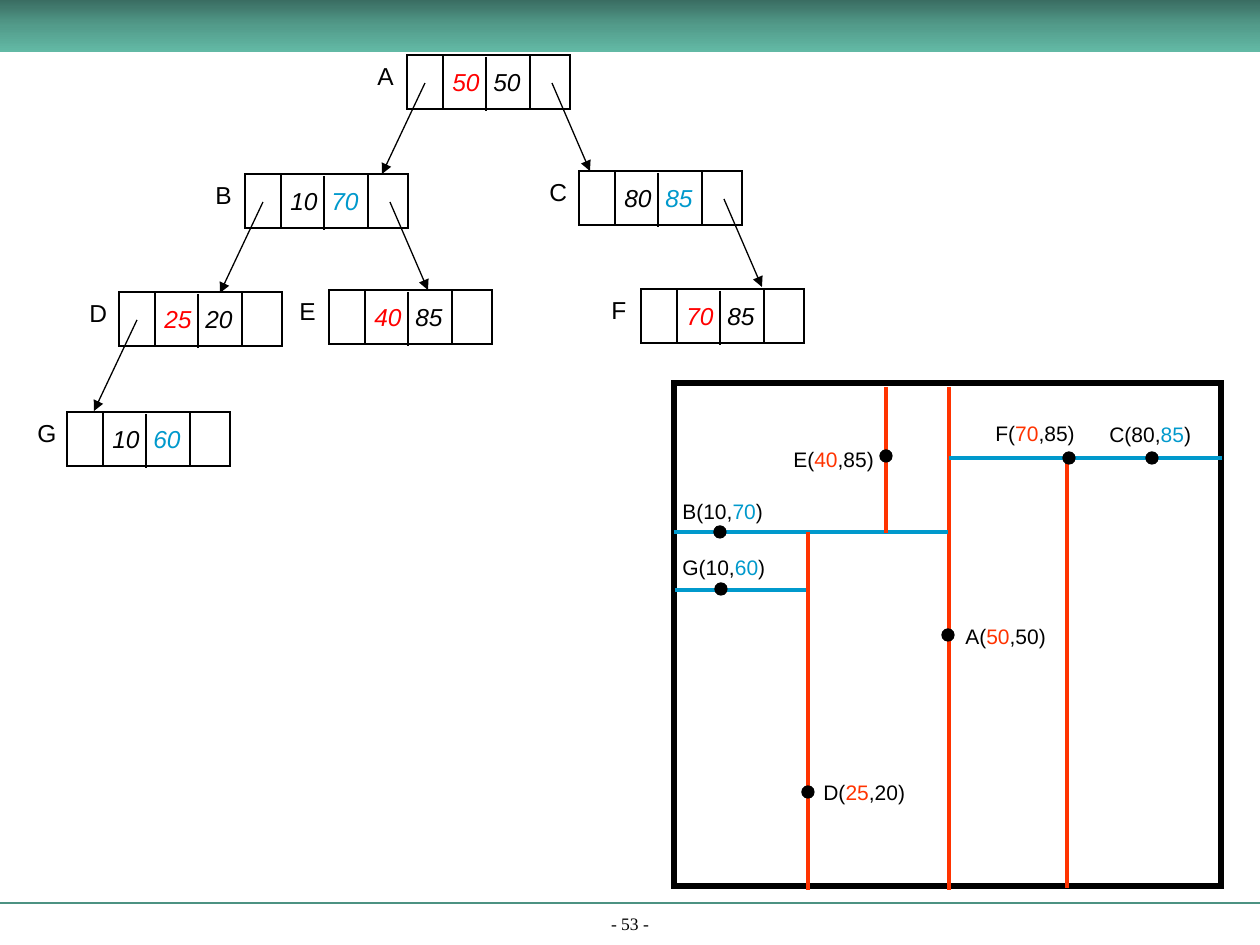
from copy import deepcopy
from lxml.etree import SubElement
from pptx import Presentation
from pptx.dml.color import RGBColor
from pptx.enum.shapes import MSO_CONNECTOR as Conn, MSO_SHAPE as Kind
from pptx.enum.text import MSO_ANCHOR as Anchor, PP_ALIGN as Align
from pptx.oxml.ns import qn
from pptx.util import Pt

SCALE = 914400 / 126
WIDE, HIGH = 1260, 945
BLACK = RGBColor(0, 0, 0)
RED = RGBColor(0xFF, 0, 0)
ORANGE = RGBColor(0xFF, 0x33, 0)
BLUE = RGBColor(0, 0x99, 0xCC)
TEAL = RGBColor(0x4C, 0x92, 0x82)
SHADES = RGBColor(0x3A, 0x6D, 0x62), RGBColor(0x53, 0x9C, 0x8B), RGBColor(0x62, 0xB9, 0xA5)

KEYS = {
    "A": (50, 50, 0), "B": (10, 70, 1), "C": (80, 85, 1), "D": (25, 20, 0),
    "E": (40, 85, 0), "F": (70, 85, 0), "G": (10, 60, 1),
}
NODES = {
    "A": (407, 55), "B": (245, 174), "C": (579, 171), "D": (119, 292),
    "E": (329, 290), "F": (641, 289), "G": (67, 412),
}
LEFT, RIGHT = "ABD", "ABC"
CUTS = {
    "A": (275, 4, 507), "B": (149, 0, 274), "C": (75, 275, 548), "D": (134, 149, 507),
    "E": (212, 4, 150), "F": (393, 75, 505), "G": (207, 1, 132),
}
DOTS = {
    "A": (274, 252), "B": (46, 149), "C": (478, 75), "D": (134, 409),
    "E": (212, 73), "F": (395, 75), "G": (47, 206),
}
TAGS = {
    "A": (279, 234), "B": (-4, 109), "C": (423, 32), "D": (137, 390),
    "E": (107, 57), "F": (309, 31), "G": (-4, 165),
}


def px(*nums):
    """Turn pixel lengths into EMU."""
    return [round(n * SCALE) for n in nums]


def add_box(slide, kind, box, fill=None, line=None, width=0.75):
    """Add a preset shape with a plain fill and a sharp outline."""
    shape = slide.shapes.add_shape(kind, *px(*box))
    shape.shadow.inherit = False
    if fill is None:
        shape.fill.background()
    else:
        shape.fill.solid()
        shape.fill.fore_color.rgb = fill
    if line is None:
        shape.line.fill.background()
    else:
        shape.line.color.rgb = line
        shape.line.width = Pt(width)
        SubElement(shape._element.spPr.find(qn("a:ln")), qn("a:miter"), lim="800000")
    return shape


def add_line(slide, ends, color, width=0.75, arrow=False):
    """Add a straight line, with an arrowhead if asked."""
    line = slide.shapes.add_connector(Conn.STRAIGHT, *px(*ends))
    line.line.color.rgb = color
    line.line.width = Pt(width)
    props = line._element.spPr
    if arrow:
        SubElement(props.find(qn("a:ln")), qn("a:tailEnd"), type="triangle")
    SubElement(props, qn("a:effectLst"))


def add_runs(para, parts, size, font="Arial", italic=False):
    """Fill a paragraph with coloured runs."""
    for text, color in parts:
        run = para.add_run()
        run.text = text
        run.font.size = Pt(size)
        run.font.name = font
        run.font.italic = italic
        run.font.color.rgb = color


def add_text(slide, box, parts, size, font="Arial"):
    """Add a text box that holds one line."""
    frame = slide.shapes.add_textbox(*px(*box)).text_frame
    frame.word_wrap = False
    add_runs(frame.paragraphs[0], parts, size, font)
    return frame


def add_frame(slide):
    """Draw the header band, the footer rule and the page number."""
    add_line(slide, (0, 903, WIDE, 903), TEAL, 1.5)
    foot = add_text(slide, (0, 912, WIDE, 28), [("- 53 -", BLACK)], 10, "Times New Roman")
    foot.word_wrap = True
    foot.vertical_anchor = Anchor.BOTTOM
    foot.paragraphs[0].alignment = Align.CENTER
    band = add_box(slide, Kind.RECTANGLE, (0, 0, WIDE, 52))
    band.fill.gradient()
    band.fill.gradient_angle = 270
    first = next(band._element.spPr.iter(qn("a:gs")))
    first.addnext(deepcopy(first))
    for stop, shade, place in zip(band.fill.gradient_stops, SHADES, (0, 0.5, 1)):
        stop.color.rgb = shade
        stop.position = place


def add_map(slide, box):
    """Draw the plane with its cuts, points and labels."""
    left, top = box[:2]
    add_box(slide, Kind.RECTANGLE, box, line=BLACK, width=3)
    for name, (*key, axis) in KEYS.items():
        at, low, high = CUTS[name]
        hue = (ORANGE, BLUE)[axis]
        if axis == 0:
            ends = (left + at, top + low, left + at, top + high)
            parts = [(f"{name}(", BLACK), (str(key[0]), hue), (f",{key[1]})", BLACK)]
        else:
            ends = (left + low, top + at, left + high, top + at)
            parts = [(f"{name}({key[0]},", BLACK), (str(key[1]), hue), (")", BLACK)]
        add_line(slide, ends, hue, 2.25)
        x, y = DOTS[name]
        add_box(slide, Kind.OVAL, (left + x - 6, top + y - 6, 12, 12), BLACK, BLACK)
        x, y = TAGS[name]
        add_text(slide, (left + x, top + y, 114, 38), parts, 12)


def add_node(slide, name, left, top):
    """Draw one tree node with its label, keys and child arrows."""
    *key, axis = KEYS[name]
    hues = [BLACK, BLACK]
    hues[axis] = (RED, BLUE)[axis]
    add_box(slide, Kind.RECTANGLE, (left, top, 163, 54), line=BLACK)
    cell = add_box(slide, Kind.RECTANGLE, (left + 36, top, 87, 54), line=BLACK)
    frame = cell.text_frame
    frame.word_wrap = False
    frame.vertical_anchor = Anchor.MIDDLE
    para = frame.paragraphs[0]
    para.alignment = Align.CENTER
    parts = [(str(key[0]), hues[0]), (" ", BLACK), (str(key[1]), hues[1])]
    add_runs(para, parts, 14, italic=True)
    para.runs[1]._r.get_or_add_rPr().set("spc", "390")
    add_line(slide, (left + 79, top + 2, left + 79, top + 56), BLACK)
    add_text(slide, (left - 42, top, 46, 42), [(name, BLACK)], 14)
    for names, start, run, drop in ((LEFT, 18, -43, 91), (RIGHT, 145, 38, 88)):
        if name in names:
            x, y = left + start, top + 28
            add_line(slide, (x, y, x + run, y + drop), BLACK, arrow=True)


def main():
    """Build and save the slide."""
    deck = Presentation()
    deck.slide_width, deck.slide_height = px(WIDE, HIGH)
    slide = deck.slides.add_slide(deck.slide_layouts[6])
    add_frame(slide)
    add_map(slide, (674, 383, 547, 503))
    for name, spot in NODES.items():
        add_node(slide, name, *spot)
    deck.save("out.pptx")


if __name__ == "__main__":
    main()
